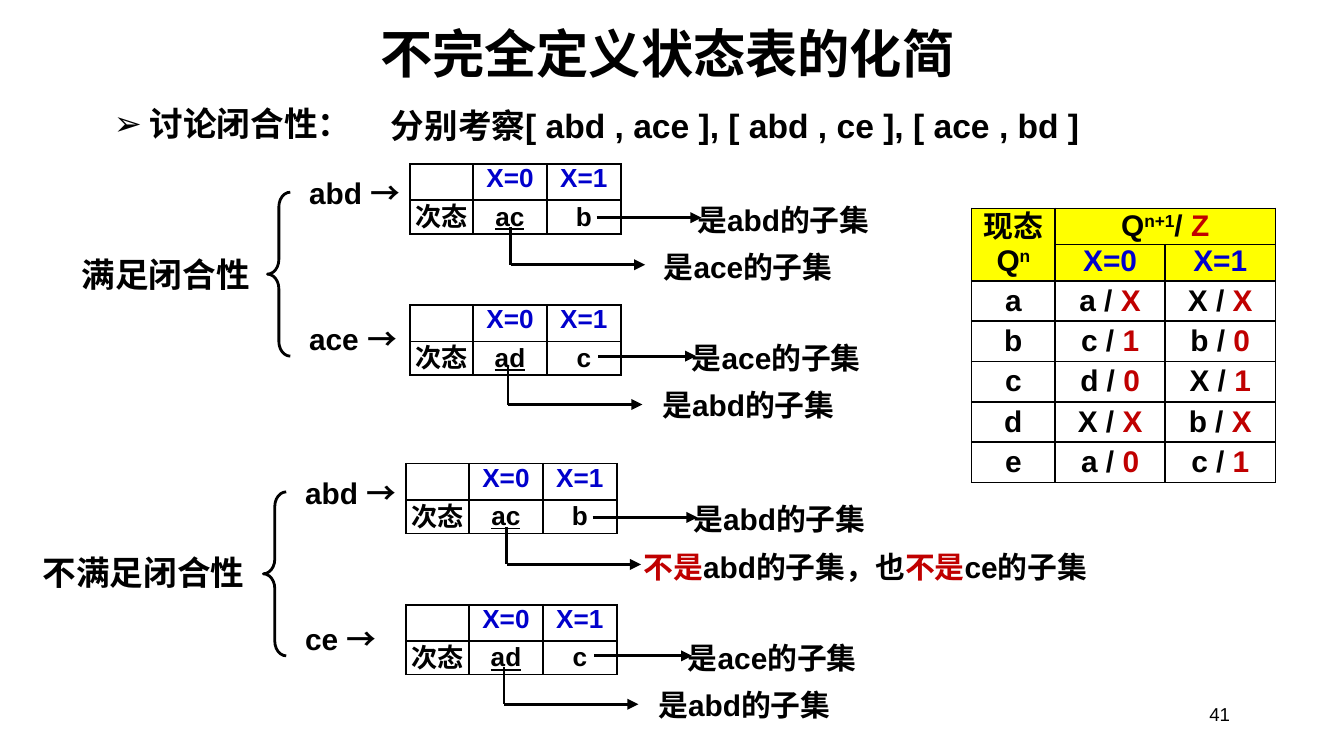
import dataclasses
import pptx
import pptx.dml.color
import pptx.enum.shapes
import pptx.enum.text
import pptx.oxml
import pptx.oxml.ns
import pptx.util

PX = 9144
ALIGN = pptx.enum.text.PP_ALIGN
ANCHOR = pptx.enum.text.MSO_ANCHOR
qn = pptx.oxml.ns.qn


@dataclasses.dataclass(frozen=True)
class Theme:
    black: str = "000000"
    red: str = "C00000"
    blue: str = "0000CC"
    yellow: str = "FFFF00"
    latin: str = "Arial"
    cjk: str = "Noto Sans CJK SC"
    title: int = 28
    heading: int = 18
    body: int = 16
    small: int = 14
    page: int = 10


T = Theme()


@dataclasses.dataclass(frozen=True)
class Span:
    text: str
    color: str = T.black
    underline: bool = False
    base: int = 0
    font: str = ""


@dataclasses.dataclass(frozen=True)
class Arrow:
    x: int
    y: int
    end: int
    text_x: int
    text_y: int
    text_w: int
    spans: tuple[Span, ...]


@dataclasses.dataclass(frozen=True)
class Case:
    label: str
    label_y: int
    table_y: int
    next0: str
    next1: str
    side: Arrow
    down: Arrow


@dataclasses.dataclass(frozen=True)
class Group:
    dx: int
    dy: int
    verdict: str
    box: tuple[int, int, int, int]
    cases: tuple[Case, ...]


def subset(name: str) -> tuple[Span, ...]:
    return Span("是"), Span(name), Span("的子集")


def cases(second: str, verdict: Arrow) -> tuple[Case, ...]:
    return (
        Case("abd", 125, 122, "ac", "b", Arrow(444, 162, 522, 509, 145, 185, subset("abd")), verdict),
        Case(second, 234, 227, "ad", "c", Arrow(445, 265, 518, 505, 248, 194, subset("ace")),
             Arrow(378, 301, 478, 483, 283, 175, subset("abd"))),
    )


NOT_SUBSET = (Span("不是", T.red, font=T.latin), Span("abd的子集，也", font=T.latin),
              Span("不是", T.red, font=T.latin), Span("ce的子集", font=T.latin))
GROUPS = (
    Group(0, 0, "满足闭合性", (51, 184, 147, 40),
          cases("ace", Arrow(380, 197, 480, 484, 180, 185, subset("ace")))),
    Group(-3, 223, "不满足闭合性", (22, 406, 174, 40),
          cases("ce", Arrow(380, 197, 480, 472, 180, 421, NOT_SUBSET))),
)
STATES = (("a", "a / X", "X / X"), ("b", "c / 1", "b / 0"), ("c", "d / 0", "X / 1"),
          ("d", "X / X", "b / X"), ("e", "a / 0", "c / 1"))


def rgb(color: str) -> pptx.dml.color.RGBColor:
    return pptx.dml.color.RGBColor.from_string(color)


def add_run(p, text: str, *, size: int, color: str = T.black, font: str = "",
            bold: bool = True, underline: bool = False, base: int = 0) -> None:
    r = p.add_run()
    r.text = text
    r.font.size = pptx.util.Pt(size)
    r.font.bold = bold
    r.font.color.rgb = rgb(color)
    r.font.name = font or (T.cjk if any(ord(c) > 0x2000 for c in text) else T.latin)
    if underline:
        r.font.underline = True
    rPr = r._r.get_or_add_rPr()
    if base:
        rPr.set("baseline", str(base * 1000))
    ea = rPr.makeelement(qn("a:ea"), {"typeface": T.cjk})
    rPr.find(qn("a:latin")).addnext(ea)


def add_spans(p, spans: tuple[Span, ...], size: int) -> None:
    for span in spans:
        add_run(p, size=size, **dataclasses.asdict(span))


def add_text(s, x: int, y: int, w: int, h: int, spans: tuple[Span, ...], size: int):
    sp = s.shapes.add_textbox(x * PX, y * PX, w * PX, h * PX)
    tf = sp.text_frame
    tf.word_wrap = True
    tf.auto_size = pptx.enum.text.MSO_AUTO_SIZE.SHAPE_TO_FIT_TEXT
    add_spans(tf.paragraphs[0], spans, size)
    return tf


def add_bullet(p, char: str, indent: int) -> None:
    pPr = p._p.get_or_add_pPr()
    pPr.set("marL", str(indent * PX))
    pPr.set("indent", str(-indent * PX))
    pPr.append(pPr.makeelement(qn("a:buFont"), {"typeface": T.latin}))
    pPr.append(pPr.makeelement(qn("a:buChar"), {"char": char}))


def add_line(s, x1: int, y1: int, x2: int, y2: int, head: bool = False) -> None:
    sp = s.shapes.add_connector(pptx.enum.shapes.MSO_CONNECTOR.STRAIGHT,
                                x1 * PX, y1 * PX, x2 * PX, y2 * PX)
    sp.line.color.rgb = rgb(T.black)
    sp.line.width = pptx.util.Pt(1.5)
    if head:
        ln = sp.line._get_or_add_ln()
        ln.append(ln.makeelement(qn("a:tailEnd"), {"type": "triangle"}))
    spPr = sp._element.spPr
    spPr.append(spPr.makeelement(qn("a:effectLst"), {}))


def add_table(s, x: int, y: int, cols: list[int], rows: list[int]):
    frame = s.shapes.add_table(len(rows), len(cols), x * PX, y * PX, sum(cols) * PX, sum(rows) * PX)
    table = frame.table
    table.first_row = table.horz_banding = False
    for col, w in zip(table.columns, cols):
        col.width = w * PX
    for row, h in zip(table.rows, rows):
        row.height = h * PX
    return table


def fill_cell(cell, spans: tuple[Span, ...], size: int, *, fill: str = "",
              anchor=ANCHOR.MIDDLE, sides: str = "LRTB") -> None:
    cell.margin_left = cell.margin_right = cell.margin_top = cell.margin_bottom = 0
    cell.vertical_anchor = anchor
    p = cell.text_frame.paragraphs[0]
    p.alignment = ALIGN.CENTER
    if any(ord(c) > 0x2000 for span in spans for c in span.text):
        p.line_spacing = 0.83
    add_spans(p, spans, size)
    if not spans:
        p._p.append(p._p.makeelement(qn("a:endParaRPr"), {"sz": str(size * 100)}))
    if fill:
        cell.fill.solid()
        cell.fill.fore_color.rgb = rgb(fill)
    else:
        cell.fill.background()
    tcPr = cell._tc.get_or_add_tcPr()
    for i, side in enumerate("LRTB"):
        paint = f'<a:solidFill><a:srgbClr val="{T.black}"/></a:solidFill>' if side in sides else "<a:noFill/>"
        ns = pptx.oxml.ns.nsdecls("a")
        tcPr.insert(i, pptx.oxml.parse_xml(f'<a:ln{side} {ns} w="12700">{paint}</a:ln{side}>'))


def add_next_state_table(s, x: int, y: int, case: Case) -> None:
    table = add_table(s, x, y, [47, 55, 55], [27, 25])
    header = ((), (Span("X=0", T.blue),), (Span("X=1", T.blue),))
    values = ((Span("次态"),), (Span(case.next0, underline=True),), (Span(case.next1),))
    for i, (row, anchor) in enumerate(((header, ANCHOR.TOP), (values, ANCHOR.MIDDLE))):
        for j, spans in enumerate(row):
            fill_cell(table.cell(i, j), spans, T.small, anchor=anchor)


def add_state_table(s) -> None:
    table = add_table(s, 723, 155, [62, 82, 82], [27] * 2 + [30] * len(STATES))
    table.cell(0, 1).merge(table.cell(0, 2))
    fill_cell(table.cell(0, 0), (Span("现态"),), T.body, fill=T.yellow, sides="LRT")
    output = (Span("Q"), Span("n+1", base=30), Span("/ "), Span("Z", T.red))
    fill_cell(table.cell(0, 1), output, T.body, fill=T.yellow)
    fill_cell(table.cell(0, 2), (), T.body, fill=T.yellow)
    fill_cell(table.cell(1, 0), (Span("Q"), Span("n", base=30)), T.body,
              fill=T.yellow, anchor=ANCHOR.TOP, sides="LRB")
    for j, text in enumerate(("X=0", "X=1"), 1):
        fill_cell(table.cell(1, j), (Span(text, T.blue),), T.body, fill=T.yellow, anchor=ANCHOR.TOP)
    for i, (state, *entries) in enumerate(STATES, 2):
        fill_cell(table.cell(i, 0), (Span(state),), T.body)
        for j, entry in enumerate(entries, 1):
            fill_cell(table.cell(i, j), (Span(entry[:-1]), Span(entry[-1], T.red)), T.body)


def add_group(s, group: Group) -> None:
    dx, dy = group.dx, group.dy
    add_text(s, *group.box, (Span(group.verdict),), T.heading)
    sp = s.shapes.add_shape(pptx.enum.shapes.MSO_SHAPE.LEFT_BRACE,
                            (199 + dx) * PX, (143 + dy) * PX, 17 * PX, 122 * PX)
    sp.shadow.inherit = False
    sp.adjustments[0] = 0.64
    sp.fill.background()
    sp.line.color.rgb = rgb(T.black)
    sp.line.width = pptx.util.Pt(1.5)
    for case in group.cases:
        add_text(s, 214 + dx, case.label_y + dy, 108, 37, (Span(f" {case.label} "), Span("→")), T.body)
        add_next_state_table(s, 305 + dx, case.table_y + dy, case)
        side, down = case.side, case.down
        add_line(s, side.x + dx, side.y + dy, side.end + dx, side.y + dy, head=True)
        add_line(s, down.x + dx, down.y - 28 + dy, down.x + dx, down.y + dy)
        add_line(s, down.x + dx, down.y + dy, down.end + dx, down.y + dy, head=True)
        for a in (side, down):
            add_text(s, a.text_x + dx, a.text_y + dy, a.text_w, 37, a.spans, T.body)


def main() -> None:
    prs = pptx.Presentation()
    prs.slide_width = 1000 * PX
    prs.slide_height = prs.slide_width * 9 // 16
    s = prs.slides.add_slide(prs.slide_layouts[6])
    add_text(s, 273, 11, 469, 57, (Span("不完全定义状态表的化简"),), T.title)
    tf = add_text(s, 75, 72, 213, 40, (Span(" 讨论闭合性："),), T.heading)
    add_bullet(tf.paragraphs[0], "➢", 20)
    add_text(s, 281, 73, 557, 40,
             (Span("分别考察"), Span("[ abd , ace ], [ abd , ce ], [ ace , bd ]")), T.heading)
    for group in GROUPS:
        add_group(s, group)
    add_state_table(s)
    tf = add_text(s, 717, 512, 208, 38, (), T.page)
    tf.auto_size = pptx.enum.text.MSO_AUTO_SIZE.NONE
    tf.vertical_anchor = ANCHOR.MIDDLE
    tf.paragraphs[0].alignment = ALIGN.RIGHT
    add_run(tf.paragraphs[0], "41", size=T.page, bold=False)
    prs.save("out.pptx")


if __name__ == "__main__":
    main()
